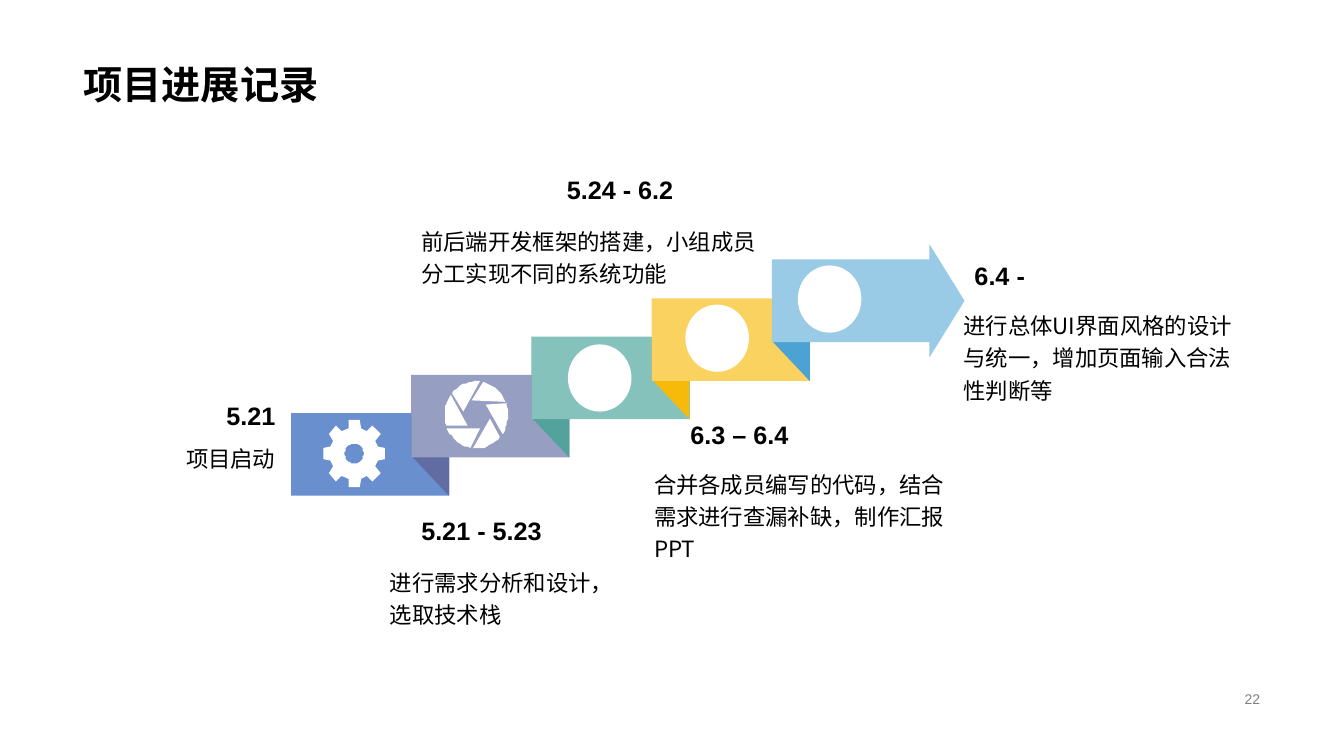
import math

import lxml.etree
import pptx
import pptx.dml.color
import pptx.enum.shapes
import pptx.enum.text
import pptx.oxml.ns
import pptx.util

Pt = pptx.util.Pt
MSO = pptx.enum.shapes.MSO_SHAPE
ALIGN = pptx.enum.text.PP_ALIGN
ANCHOR = pptx.enum.text.MSO_ANCHOR
CJK = "Noto Sans CJK SC"


def paint(s, color):
    s.shadow.inherit = False
    s.fill.solid()
    s.fill.fore_color.rgb = pptx.dml.color.RGBColor.from_string(color)
    s.line.fill.background()


def polar_shape(cx, cy, contours, color):
    """Closed contours of (degrees, share of the icon radius)."""
    builder = None
    for contour in contours:
        points = [(cx + ICON_W / 2 * r * math.cos(math.radians(a)),
                   cy + ICON_H / 2 * r * math.sin(math.radians(a))) for a, r in contour]
        if builder is None:
            builder = s.build_freeform(*points[0], scale=Pt(1))
        else:
            builder.move_to(*points[0])
        builder.add_line_segments(points[1:], close=True)
    paint(builder.convert_to_shape(), color)


prs = pptx.Presentation()
prs.slide_width, prs.slide_height = Pt(960), Pt(540)
s = prs.slides.add_slide(prs.slide_layouts[6]).shapes

# Text: formats, then (left, top, width, height, format, alignment, text)
formats = {
    "title": {"size": Pt(28), "name": "Arial", "bold": True},
    "date": {"size": Pt(18), "name": "Arial", "bold": True},
    "body": {"size": Pt(16), "name": CJK, "bold": False},
    "number": {"size": Pt(10), "name": "Arial", "bold": False},
}
colors = {"number": "808080"}
anchors = {"title": ANCHOR.BOTTOM, "date": ANCHOR.BOTTOM}
spacings = {"title": 0.9, "body": 1.2}
texts = [
    (52.6, 0, 854.6, 80.6, "title", ALIGN.LEFT, "项目进展记录"),
    (678.2, 491, 229, 16.6, "number", ALIGN.RIGHT, "22"),
    (0, 278.6, 203.8, 32.4, "date", ALIGN.RIGHT, "5.21"),
    (0, 302.4, 203.8, 46, "body", ALIGN.RIGHT, "项目启动"),
    (689, 178.6, 212.4, 32.4, "date", ALIGN.LEFT, "6.4 -"),
    (681.1, 231.8, 212.4, 44, "body", ALIGN.LEFT, "进行总体UI界面风格的设计与统一，增加页面输入合法性判断等"),
    (486, 292.3, 212.4, 32.4, "date", ALIGN.LEFT, "6.3 – 6.4"),
    (460.1, 344.9, 232.6, 44, "body", ALIGN.LEFT, "合并各成员编写的代码，结合需求进行查漏补缺，制作汇报PPT"),
    (280.8, 117.4, 207.2, 32.4, "date", ALIGN.RIGHT, "5.24 - 6.2"),
    (293.8, 159.1, 260, 46, "body", ALIGN.LEFT, "前后端开发框架的搭建，小组成员分工实现不同的系统功能"),
    (293.8, 360.7, 212.4, 32.4, "date", ALIGN.LEFT, "5.21 - 5.23"),
    (271.4, 396.7, 182.9, 57.6, "body", ALIGN.LEFT, "进行需求分析和设计，选取技术栈"),
]
for left, top, width, height, style, align, text in texts:
    tf = s.add_textbox(Pt(left), Pt(top), Pt(width), Pt(height)).text_frame
    tf.word_wrap = True
    tf.vertical_anchor = anchors.get(style, ANCHOR.MIDDLE)
    p = tf.paragraphs[0]
    p.alignment = align
    p.line_spacing = spacings.get(style, 1.0)
    r = p.add_run()
    r.text = text
    for key, value in formats[style].items():
        setattr(r.font, key, value)
    r.font.color.rgb = pptx.dml.color.RGBColor.from_string(colors.get(style, "000000"))
    lxml.etree.SubElement(r.font._element, pptx.oxml.ns.qn("a:ea"), typeface=CJK)

# Rising ribbon: each step is a bar and the fold behind the next bar
X, Y, STEP_X, STEP_Y = 208, 295, 85.9, -27.3
FOLD_W, FOLD_H = 26.8, 86.4
steps = [("698FCE", "606CA2"), ("969EC2", "52A39B"),
         ("85C2BC", "F7BA0B"), ("FAD25F", "4CA2D3")]
for i, (bar_color, fold_color) in enumerate(steps):
    x, y = X + i * STEP_X, Y + i * STEP_Y
    paint(s.add_shape(MSO.RECTANGLE, Pt(x), Pt(y), Pt(113), Pt(59)), bar_color)
    # The fold is turned a quarter, so its box is placed by its centre
    cx, cy = x + STEP_X + FOLD_W / 2, y + STEP_Y + FOLD_H / 2
    fold = s.add_shape(MSO.PARALLELOGRAM, Pt(cx - FOLD_H / 2), Pt(cy - FOLD_W / 2),
                       Pt(FOLD_H), Pt(FOLD_W))
    fold.rotation = 90
    fold.adjustments[0] = 1.06
    paint(fold, fold_color)

# Closing arrow
arrow = s.add_shape(MSO.RIGHT_ARROW, Pt(551.4), Pt(174.5), Pt(137.6), Pt(80.8))
arrow.adjustments[0], arrow.adjustments[1] = 0.73, 0.31
paint(arrow, "99CAE6")

# Plain round badges on the last three steps
ICON_W, ICON_H = 45.4, 48
for cx, cy in [(428.4, 270), (512.3, 241.6), (592.6, 213.6)]:
    paint(s.add_shape(MSO.OVAL, Pt(cx - ICON_W / 2), Pt(cy - ICON_H / 2),
                      Pt(ICON_W), Pt(ICON_H)), "FFFFFF")

# Gear with eight teeth and a hub hole
teeth = [(tooth * 45 + a, r) for tooth in range(8)
         for a, r in [(-15, 0.76), (-10, 1), (10, 1), (15, 0.76)]]
hub = [(-a, 0.3) for a in range(0, 360, 10)]
polar_shape(253.1, 324, [teeth, hub], "FFFFFF")

# Aperture with six blades
blades = [[(k * 60 - 167, 0.43)] + [(k * 60 + a, 1) for a in range(-139, -82, 5)]
          for k in range(6)]
polar_shape(340.2, 296.3, blades, "FFFFFF")

prs.save("out.pptx")
